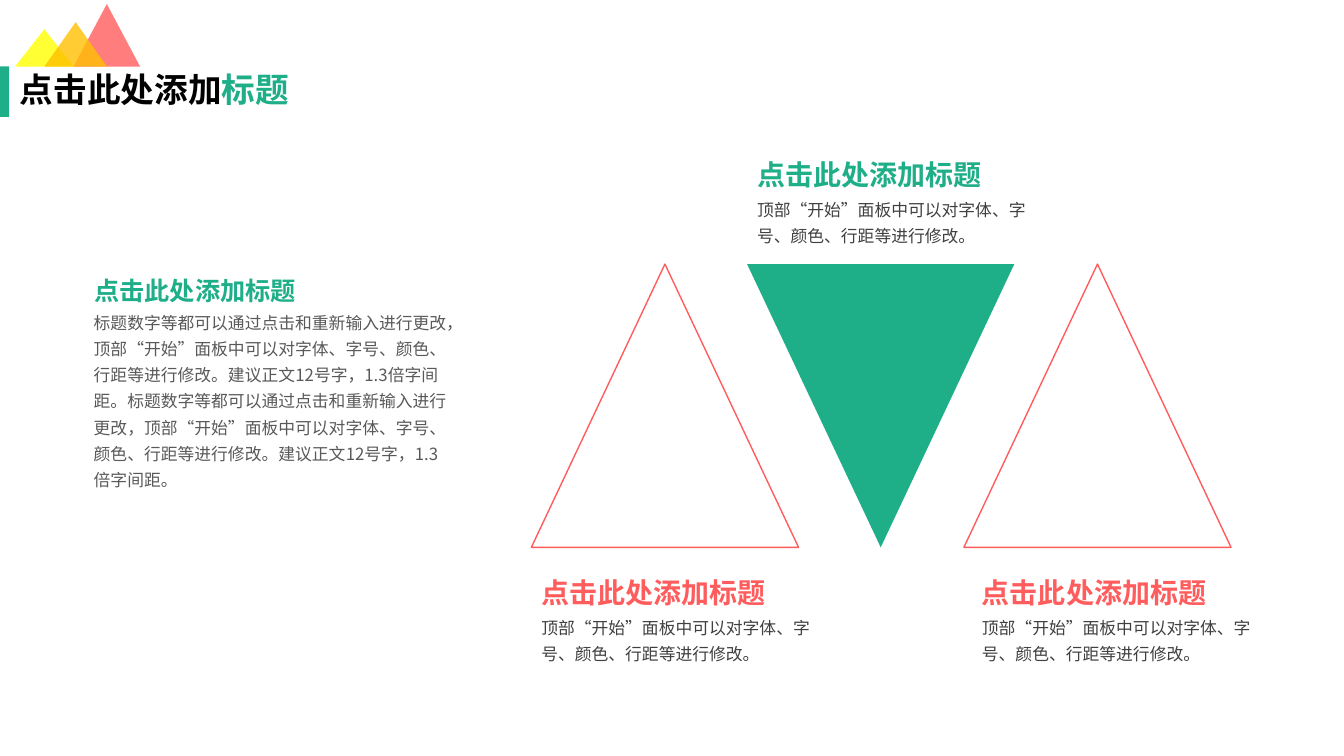
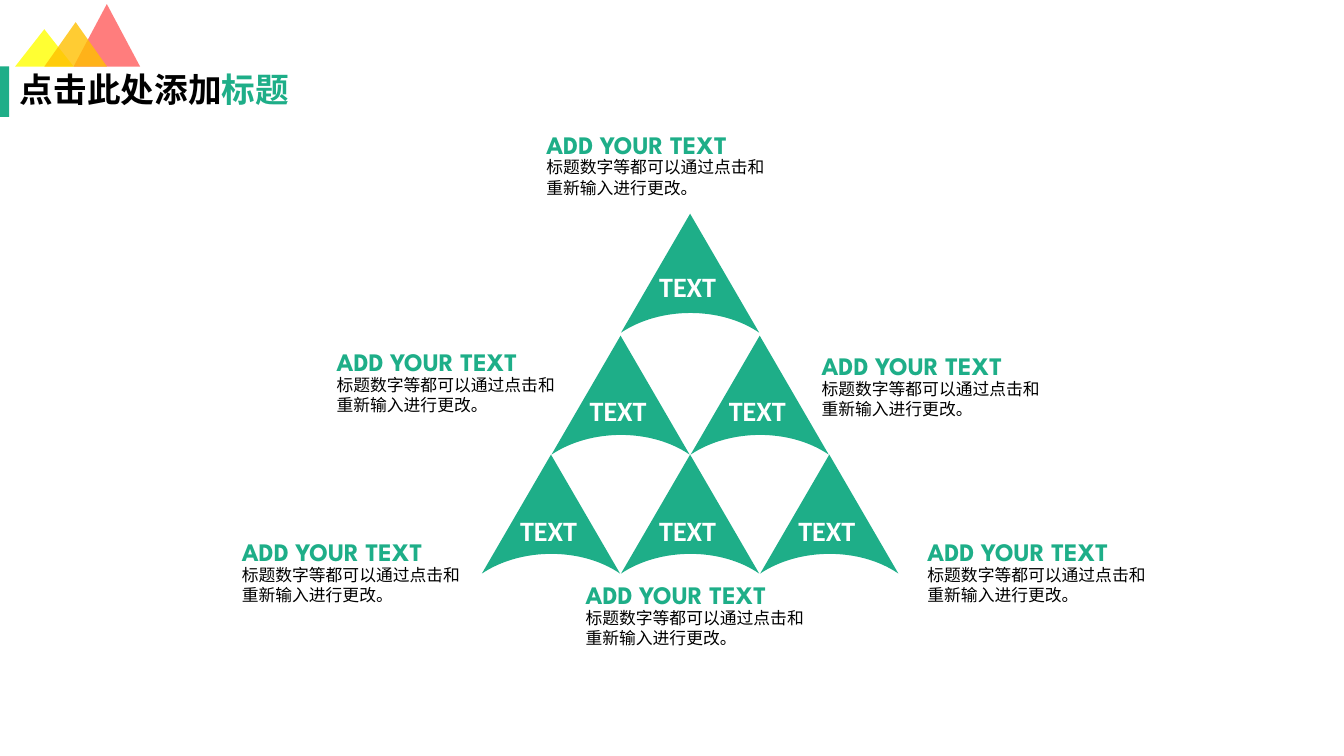
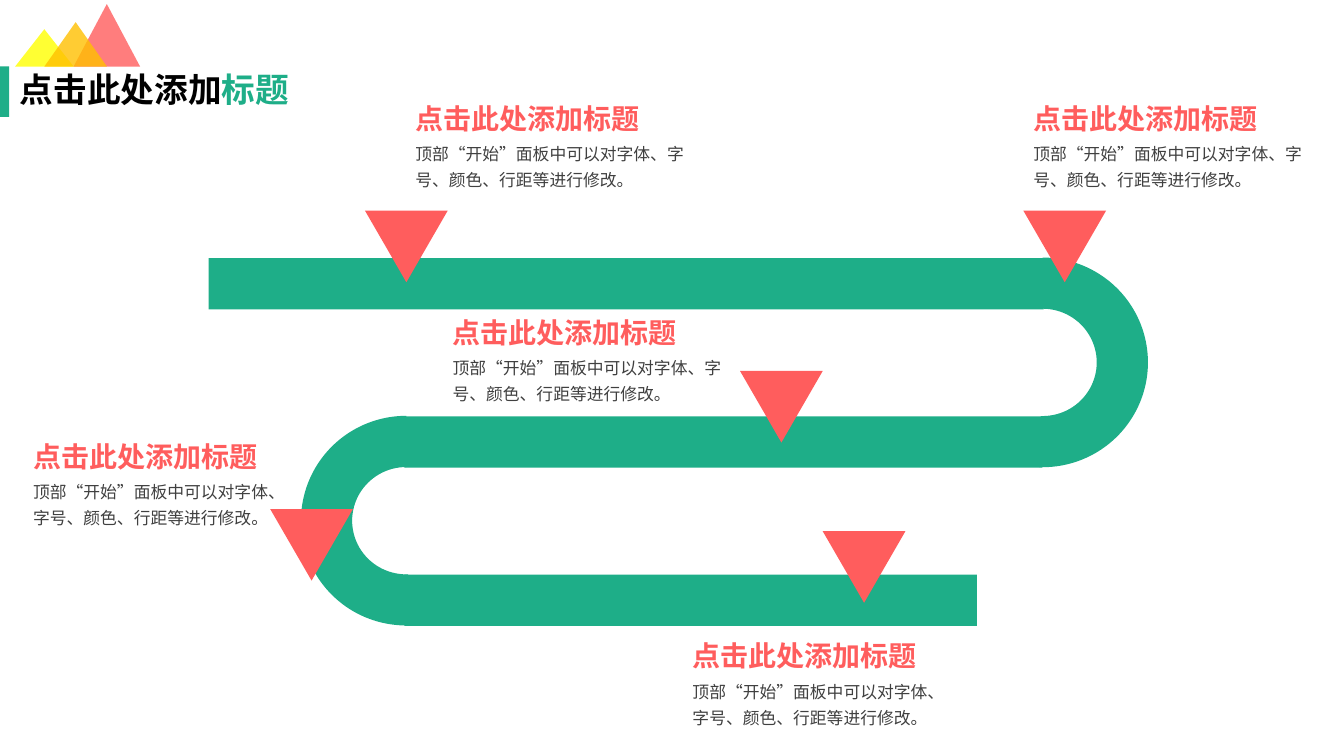
from lxml import etree
from pptx import Presentation
from pptx.dml.color import RGBColor
from pptx.enum import lang, shapes, text
from pptx.oxml import ns
from pptx.util import Inches, Pt

GREEN = RGBColor(0x1E, 0xAE, 0x88)
CORAL = RGBColor(0xFF, 0x5D, 0x5D)
YELLOW = RGBColor(0xFF, 0xFF, 0x00)
AMBER = RGBColor(0xFF, 0xC0, 0x00)
BLACK = RGBColor(0, 0, 0)
WHITE = RGBColor(0xFF, 0xFF, 0xFF)
GRAY = RGBColor(0x59, 0x59, 0x59)
DARK_GRAY = RGBColor(0x40, 0x40, 0x40)

CHINESE, DISPLAY, LATIN = "Noto Sans CJK SC", "League Spartan", "Calibri"
SHAPE = shapes.MSO_SHAPE

# Content; positions are (left, top) or (left, top, width, height) in inches
TITLE = ("点击此处添加", "标题")
HEADING = "点击此处添加标题"
DETAIL = "顶部“开始”面板中可以对字体、字号、颜色、行距等进行修改。"
ADVICE = "标题数字等都可以通过点击和重新输入进行更改，" + DETAIL + "建议正文12号字，1.3倍字间距。"
NOTE_HEADING = "ADD YOUR TEXT"
NOTE = "标题数字等都可以通过点击和重新输入进行更改。"

PEAKS = [
    ((0.73, 0.04, 0.66, 0.62), CORAL),
    ((0.15, 0.29, 0.58, 0.37), YELLOW),
    ((0.44, 0.22, 0.62, 0.44), AMBER),
]
TRIANGLE_CAPTIONS = [(5.27, 5.66, CORAL), (9.64, 5.66, CORAL), (7.41, 1.51, GREEN)]
PYRAMID_ROWS = [(2.12, 2.62), (3.33, 3.85), (4.51, 5.05)]  # tops of sails and labels
PYRAMID_NOTES = [(5.32, 1.23), (3.24, 3.39), (2.3, 5.27),
                 (5.71, 5.7), (9.1, 5.27), (8.05, 3.43)]
ROAD_BARS = [(2.07, 2.56, 8.28), (4.01, 4.13, 6.33), (4.01, 5.7, 5.68)]
ROAD_BENDS = [  # left, top, rotation, start and end angle
    (9.3, 2.55, 90, 108, 1.14),
    (2.99, 4.12, 270, 106.86, 0),
]
ROAD_MARKERS = [(3.62, 2.09), (10.15, 2.09), (7.34, 3.68), (2.68, 5.05), (8.16, 5.27)]
ROAD_CAPTIONS = [  # left, top, width of the detail text
    (10.15, 0.96, 2.95), (4.02, 0.96, 2.95), (4.39, 3.08, 2.95),
    (0.23, 4.31, 2.76), (6.77, 6.29, 2.76),
]


def style_shape(shape, fill=None, line=None):
    shape.shadow.inherit = False
    if fill is None:
        shape.fill.background()
    else:
        shape.fill.solid()
        shape.fill.fore_color.rgb = fill
    if line is None:
        shape.line.fill.background()
    else:
        shape.line.color.rgb = line
        shape.line.width = Pt(1)


def add_shape(parent, kind, box, fill=None, line=None, rotation=0):
    shape = parent.shapes.add_shape(kind, *map(Inches, box))
    style_shape(shape, fill, line)
    shape.rotation = rotation
    return shape


def set_opacity(shape, percent):
    color = shape._element.spPr.find(".//" + ns.qn("a:srgbClr"))
    etree.SubElement(color, ns.qn("a:alpha"), val=str(percent * 1000))


def add_text(slide, box, parts, size, color, font=CHINESE, bold=False,
             spacing=None, wrap=True, inset=(0.1, 0.05), centered=False):
    """Add one paragraph; return its runs."""
    shape = slide.shapes.add_textbox(*map(Inches, box))
    frame = shape.text_frame
    frame.word_wrap = wrap
    frame.auto_size = text.MSO_AUTO_SIZE.SHAPE_TO_FIT_TEXT
    frame.margin_left = frame.margin_right = Inches(inset[0])
    frame.margin_top = frame.margin_bottom = Inches(inset[1])
    paragraph = frame.paragraphs[0]
    if spacing:
        paragraph.line_spacing = spacing
    if centered:
        paragraph.alignment = text.PP_ALIGN.CENTER
    for part in parts:
        paragraph.add_run().text = part
    style = paragraph.font
    style.size, style.bold, style.name = Pt(size), bold, font
    style.color.rgb = color
    style.language_id = lang.MSO_LANGUAGE_ID.SIMPLIFIED_CHINESE
    # East Asian typeface
    properties = paragraph._p.pPr.find(ns.qn("a:defRPr"))
    etree.SubElement(properties, ns.qn("a:ea"), typeface=CHINESE)
    return paragraph.runs


def add_caption(slide, left, top, color, width=2.95):
    add_text(slide, (left, top + 0.36, width, 0.63), [DETAIL], 12, DARK_GRAY, spacing=1.3)
    add_text(slide, (left, top, 2.95, 0.44), [HEADING], 20, color, bold=True)


def add_slide(presentation):
    """Add a slide with the shared peaks, band and title."""
    slide = presentation.slides.add_slide(presentation.slide_layouts[6])
    peaks = slide.shapes.add_group_shape()
    for box, color in PEAKS:
        set_opacity(add_shape(peaks, SHAPE.ISOSCELES_TRIANGLE, box, color), 80)
    add_shape(slide, SHAPE.RECTANGLE, (0, 0.66, 0.09, 0.5), GREEN)
    runs = add_text(slide, (0.1, 0.68, 3.04, 0.46), TITLE, 24, BLACK, bold=True, spacing=0.9)
    runs[1].font.color.rgb = GREEN
    return slide


def build_triangles(slide):
    for left in (5.27, 9.56):
        add_shape(slide, SHAPE.ISOSCELES_TRIANGLE, (left, 2.62, 2.65, 2.81), line=CORAL)
    add_shape(slide, SHAPE.ISOSCELES_TRIANGLE, (7.41, 2.62, 2.65, 2.81), GREEN, rotation=180)
    add_text(slide, (0.86, 3, 3.7, 2.18), [ADVICE * 2], 12, GRAY,
             spacing=1.3, inset=(0.07, 0.04))
    add_text(slide, (0.67, 2.68, 2.53, 0.4), [HEADING], 18, GREEN, DISPLAY,
             bold=True, centered=True)
    for left, top, color in TRIANGLE_CAPTIONS:
        add_caption(slide, left, top, color)


def add_sail(slide, left, top, width=1.37, height=1.18):
    """Add a triangle whose base is a cubic curve bending upwards."""
    builder = slide.shapes.build_freeform(Inches(left), Inches(top + height))
    builder.add_line_segments([
        (Inches(left + width / 2), Inches(top)),
        (Inches(left + width), Inches(top + height)),
    ], close=True)
    sail = builder.convert_to_shape()
    style_shape(sail, GREEN)
    # Curved base from the right corner back to the left one
    close = sail._element.spPr.find(".//" + ns.qn("a:close"))
    curve = etree.Element(ns.qn("a:cubicBezTo"))
    for x, y in ((0.99, height - 0.26), (0.39, height - 0.26), (0, height)):
        etree.SubElement(curve, ns.qn("a:pt"), x=str(Inches(x)), y=str(Inches(y)))
    close.addprevious(curve)


def build_pyramid(slide):
    for row, (sail_top, label_top) in enumerate(PYRAMID_ROWS):
        for column in range(row + 1):
            left = 6.16 + (2 * column - row) * 0.69
            add_sail(slide, left, sail_top)
            add_text(slide, (left + 0.28, label_top, 0.77, 0.44), ["TEXT"],
                     20, WHITE, LATIN, bold=True, wrap=False)
    for left, top in PYRAMID_NOTES:
        add_text(slide, (left, top, 2.5, 0.4), [NOTE_HEADING], 18, GREEN, DISPLAY, bold=True)
        add_text(slide, (left, top + 0.28, 2.47, 0.5), [NOTE], 12, BLACK)


def build_road(slide):
    for left, top, width in ROAD_BARS:
        add_shape(slide, SHAPE.RECTANGLE, (left, top, width, 0.51), GREEN)
    for left, top, rotation, start, end in ROAD_BENDS:
        bend = add_shape(slide, SHAPE.BLOCK_ARC, (left, top, 2.08, 2.09), GREEN,
                         rotation=rotation)
        for index, value in enumerate((start, end, 0.244)):
            bend.adjustments[index] = value
    for left, top in ROAD_MARKERS:
        add_shape(slide, SHAPE.ISOSCELES_TRIANGLE, (left, top, 0.82, 0.71), CORAL, rotation=180)
    for left, top, width in ROAD_CAPTIONS:
        add_caption(slide, left, top, CORAL, width)


def main():
    presentation = Presentation()
    presentation.slide_width, presentation.slide_height = Inches(13.33), Inches(7.5)
    for build in (build_triangles, build_pyramid, build_road):
        build(add_slide(presentation))
    presentation.save("out.pptx")


if __name__ == "__main__":
    main()
